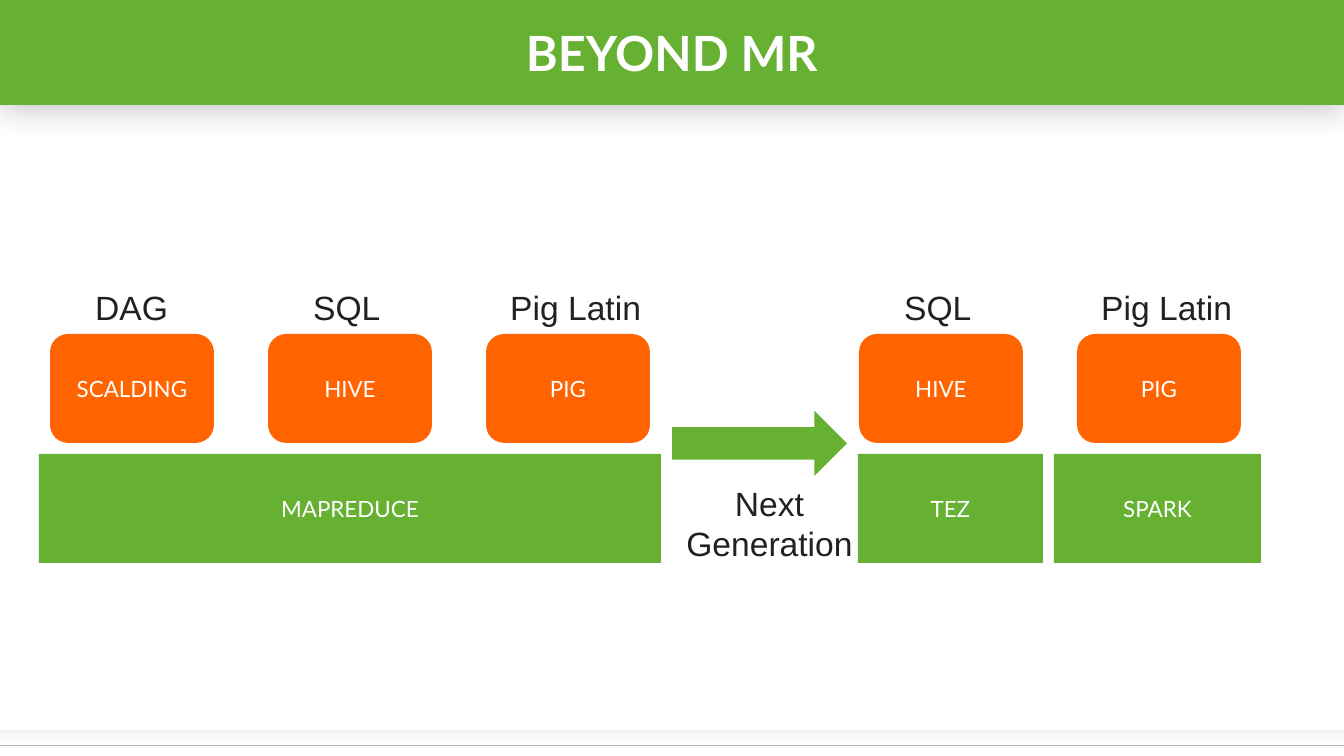
from dataclasses import dataclass

from lxml import etree
from pptx import Presentation
from pptx.dml.color import RGBColor
from pptx.enum.shapes import MSO_CONNECTOR, MSO_SHAPE
from pptx.enum.text import MSO_ANCHOR, MSO_AUTO_SIZE, PP_ALIGN
from pptx.oxml import parse_xml
from pptx.oxml.ns import nsdecls, qn
from pptx.util import Pt

RECT, ROUNDED, ARROW = MSO_SHAPE.RECTANGLE, MSO_SHAPE.ROUNDED_RECTANGLE, MSO_SHAPE.RIGHT_ARROW
LEFT, CENTER = PP_ALIGN.LEFT, PP_ALIGN.CENTER
MIDDLE, TOP = MSO_ANCHOR.MIDDLE, MSO_ANCHOR.TOP
FIT_TEXT = MSO_AUTO_SIZE.SHAPE_TO_FIT_TEXT
STRAIGHT = MSO_CONNECTOR.STRAIGHT


@dataclass(frozen=True)
class Theme:
    green: str = "66B132"
    orange: str = "FF6400"
    white: str = "FFFFFF"
    ink: str = "212121"
    grey: str = "B3B3B3"
    heading_font: str = "Lato"
    label_font: str = "Arial"
    title_size: int = 26
    label_size: int = 18
    box_size: int = 12


THEME = Theme()

# Content: lengths in px
TITLE = "BEYOND MR"
TRANSITION = ["Next", "Generation"]
# Each stack: left of its first tool, then (language, tool) pairs
STACKS = [
    (50, [("DAG", "SCALDING"), ("SQL", "HIVE"), ("Pig Latin", "PIG")]),
    (859, [("SQL", "HIVE"), ("Pig Latin", "PIG")]),
]
# Engine: name, left, width
ENGINES = [("MAPREDUCE", 39, 622), ("TEZ", 858, 185), ("SPARK", 1054, 207)]
# Language: offset from its tool, width
LANGUAGE_PLACES = {"DAG": (32, 101), "SQL": (32, 94), "Pig Latin": (11, 159)}

SLIDE_W, SLIDE_H = 1344, 756
EMU_PER_PX = 9144000 / SLIDE_W
TITLE_H = 105
TOOL_W, BOX_H, TOOL_STEP = 164, 109, 218
LANGUAGE_TOP, LANGUAGE_H = 280, 54
TOOL_TOP, ENGINE_TOP = 334, 454
ARROW_BOX = (672, 411, 175, 65)
TRANSITION_BOX = (672, 476, 195, 95)
FOOTER_TOP, FOOTER_H, FOOTER_LINE_Y = 731, 25, 746


def emu(*lengths):
    return [round(length * EMU_PER_PX) for length in lengths]


def rgb(code):
    return RGBColor.from_string(code)


def write(frame, lines, font, size, color, align, bold=False):
    for index, line in enumerate(lines):
        paragraph = frame.paragraphs[0] if index == 0 else frame.add_paragraph()
        paragraph.alignment = align
        run = paragraph.add_run()
        run.text = line
        run.font.name = font
        run.font.size = Pt(size)
        run.font.bold = bold
        run.font.color.rgb = rgb(color)


def add_block(slide, kind, box, fill, text=None, size=THEME.box_size, bold=False):
    block = slide.shapes.add_shape(kind, *emu(*box))
    block.shadow.inherit = False
    block.fill.solid()
    block.fill.fore_color.rgb = rgb(fill)
    block.line.fill.background()
    frame = block.text_frame
    frame.word_wrap = True
    frame.vertical_anchor = MIDDLE
    if text:
        frame.margin_left = frame.margin_right = frame.margin_top = frame.margin_bottom = 0
        write(frame, [text], THEME.heading_font, size, THEME.white, CENTER, bold)
    return block


def add_label(slide, box, lines, align):
    frame = slide.shapes.add_textbox(*emu(*box)).text_frame
    frame.word_wrap = False
    frame.auto_size = FIT_TEXT
    frame.vertical_anchor = TOP
    write(frame, lines, THEME.label_font, THEME.label_size, THEME.ink, align)


def add_footer(slide):
    """Add a band that fades downwards and a thin rule across it."""
    band = add_block(slide, RECT, (0, FOOTER_TOP, SLIDE_W, FOOTER_H), THEME.grey)
    fade = parse_xml(
        f'<a:gradFill {nsdecls("a")} rotWithShape="1"><a:gsLst>'
        f'<a:gs pos="0"><a:srgbClr val="{THEME.grey}"><a:alpha val="20000"/></a:srgbClr></a:gs>'
        f'<a:gs pos="67000"><a:srgbClr val="{THEME.white}"><a:alpha val="0"/></a:srgbClr></a:gs>'
        '</a:gsLst><a:lin ang="5400000" scaled="0"/></a:gradFill>'
    )
    properties = band.element.spPr
    properties.replace(properties.find(qn("a:solidFill")), fade)

    rule = slide.shapes.add_connector(STRAIGHT, *emu(0, FOOTER_LINE_Y, SLIDE_W, FOOTER_LINE_Y))
    rule.line.color.rgb = rgb(THEME.grey)
    rule.line.width = Pt(0.5)
    etree.SubElement(rule.element.spPr, qn("a:effectLst"))


def add_title(slide):
    banner = add_block(slide, RECT, (0, 0, SLIDE_W, TITLE_H), THEME.green,
                       TITLE, THEME.title_size, bold=True)
    effects = banner.element.spPr.find(qn("a:effectLst"))
    effects.append(parse_xml(
        f'<a:outerShdw {nsdecls("a")} blurRad="{Pt(20)}" dist="0" dir="0" rotWithShape="0">'
        '<a:srgbClr val="000000"><a:alpha val="28000"/></a:srgbClr></a:outerShdw>'
    ))


def main():
    deck = Presentation()
    deck.slide_width, deck.slide_height = emu(SLIDE_W, SLIDE_H)
    slide = deck.slides.add_slide(deck.slide_layouts[6])

    add_footer(slide)
    for name, left, width in ENGINES:
        add_block(slide, RECT, (left, ENGINE_TOP, width, BOX_H), THEME.green, name)
    for stack_left, tools in STACKS:
        for column, (language, tool) in enumerate(tools):
            left = stack_left + column * TOOL_STEP
            add_block(slide, ROUNDED, (left, TOOL_TOP, TOOL_W, BOX_H), THEME.orange, tool)
            offset, width = LANGUAGE_PLACES[language]
            add_label(slide, (left + offset, LANGUAGE_TOP, width, LANGUAGE_H), [language], LEFT)
    add_block(slide, ARROW, ARROW_BOX, THEME.green)
    add_label(slide, TRANSITION_BOX, TRANSITION, CENTER)
    add_title(slide)

    deck.save("out.pptx")


if __name__ == "__main__":
    main()
